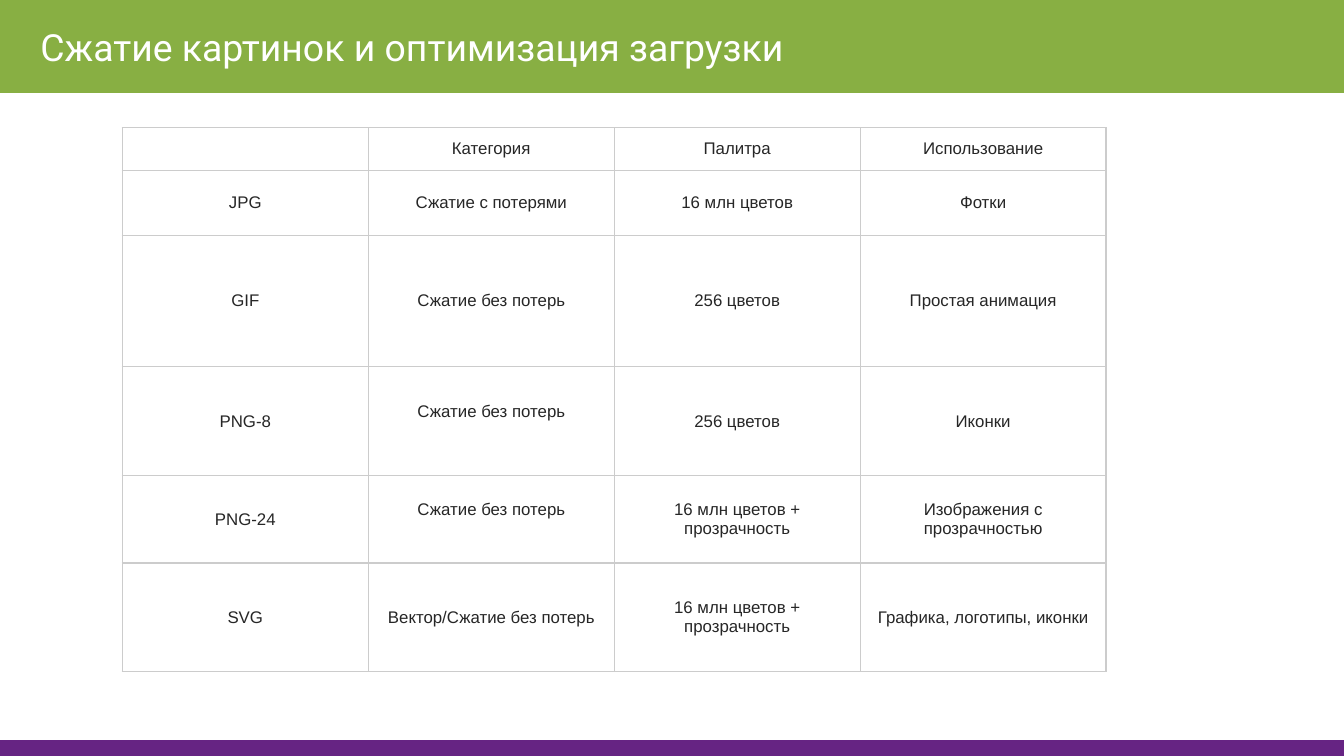
from lxml import etree
from pptx import Presentation
from pptx.dml.color import RGBColor
from pptx.enum import shapes, text
from pptx.oxml import ns
from pptx.util import Inches, Pt

GREEN = RGBColor(0x88, 0xAF, 0x43)
PURPLE = RGBColor(0x66, 0x24, 0x83)
WHITE = RGBColor(0xFF, 0xFF, 0xFF)
INK = RGBColor(0x26, 0x26, 0x26)
GRID = RGBColor(0xCC, 0xCC, 0xCC)

LOSSLESS = "Сжатие без потерь"
MILLIONS = "16 млн цветов"
ALPHA = MILLIONS + " + прозрачность"
FORMATS = [
    ("", "Категория", "Палитра", "Использование"),
    ("JPG", "Сжатие с потерями", MILLIONS, "Фотки"),
    ("GIF", LOSSLESS, "256 цветов", "Простая анимация"),
    ("PNG-8", LOSSLESS, "256 цветов", "Иконки"),
    ("PNG-24", LOSSLESS, ALPHA, "Изображения с прозрачностью"),
    ("SVG", "Вектор/" + LOSSLESS, ALPHA, "Графика, логотипы, иконки"),
]
ROW_HEIGHTS = [0.32, 0.48, 0.98, 0.81, 0.65, 0.81]
RAISED = {(3, 1), (4, 1)}  # cells whose text sits above the middle


def add_band(s, left, top, width, height, color):
    sp = s.shapes.add_shape(shapes.MSO_SHAPE.RECTANGLE, Inches(left),
                            Inches(top), Inches(width), Inches(height))
    sp.shadow.inherit = False
    sp.fill.solid()
    sp.fill.fore_color.rgb = color
    sp.line.color.rgb = color
    sp.line.width = Pt(0.75)


def add_header(s, left, top, width, height, title):
    add_band(s, left, top, width, height, GREEN)
    sp = s.shapes.title
    sp.left, sp.top = Inches(left + 0.2), Inches(top + 0.08)
    sp.width, sp.height = Inches(6.33), Inches(0.54)
    s.shapes._spTree.append(sp._element)  # bring in front of the band
    tf = sp.text_frame
    tf.text = title
    tf.word_wrap = True
    tf.auto_size = text.MSO_AUTO_SIZE.NONE
    tf.vertical_anchor = text.MSO_ANCHOR.MIDDLE
    tf.margin_left = tf.margin_right = Inches(0.1)
    tf.margin_top = tf.margin_bottom = Inches(0.1)
    p = tf.paragraphs[0]
    p.alignment = text.PP_ALIGN.LEFT
    p.font.size = Pt(20)
    p.font.name = "Roboto"
    p.font.color.rgb = WHITE


def set_borders(cell):
    props = cell._tc.get_or_add_tcPr()
    for i, side in enumerate(("lnL", "lnR", "lnT", "lnB")):
        ln = etree.Element(ns.qn("a:" + side), w=str(Pt(0.75)))
        fill = etree.SubElement(ln, ns.qn("a:solidFill"))
        etree.SubElement(fill, ns.qn("a:srgbClr"), val=str(GRID))
        props.insert(i, ln)


def format_cell(cell, value, raised):
    cell.fill.solid()
    cell.fill.fore_color.rgb = WHITE
    set_borders(cell)
    cell.vertical_anchor = text.MSO_ANCHOR.MIDDLE
    cell.margin_left = cell.margin_right = cell.margin_top = Inches(0.07)
    cell.margin_bottom = Inches(0.21 if raised else 0.07)
    cell.text = value
    p = cell.text_frame.paragraphs[0]
    p.alignment = text.PP_ALIGN.CENTER
    p.font.size = Pt(9)
    p.font.name = "Arial"
    p.font.color.rgb = INK
    if not value:  # keeps the empty cell from stretching its row
        etree.SubElement(p._p, ns.qn("a:endParaRPr"), sz="900")


def add_format_table(s, left, top, width, height):
    columns = len(FORMATS[0])
    table = s.shapes.add_table(len(FORMATS), columns, Inches(left), Inches(top),
                               Inches(width), Inches(height)).table
    table.first_row = table.horz_banding = False
    for column in table.columns:
        column.width = Inches(width / columns)
    for r, values in enumerate(FORMATS):
        table.rows[r].height = Inches(ROW_HEIGHTS[r])
        for c, value in enumerate(values):
            format_cell(table.cell(r, c), value, (r, c) in RAISED)


def main():
    prs = Presentation()
    prs.slide_width = Inches(10)
    prs.slide_height = prs.slide_width * 9 // 16
    s = prs.slides.add_slide(prs.slide_layouts[5])
    # Footer stripe, title band, comparison table
    add_band(s, 0, 5.51, 10, 0.12, PURPLE)
    add_header(s, 0, 0, 10, 0.69, "Сжатие картинок и оптимизация загрузки")
    add_format_table(s, 0.91, 0.95, 7.32, sum(ROW_HEIGHTS))
    prs.save("out.pptx")


if __name__ == "__main__":
    main()
